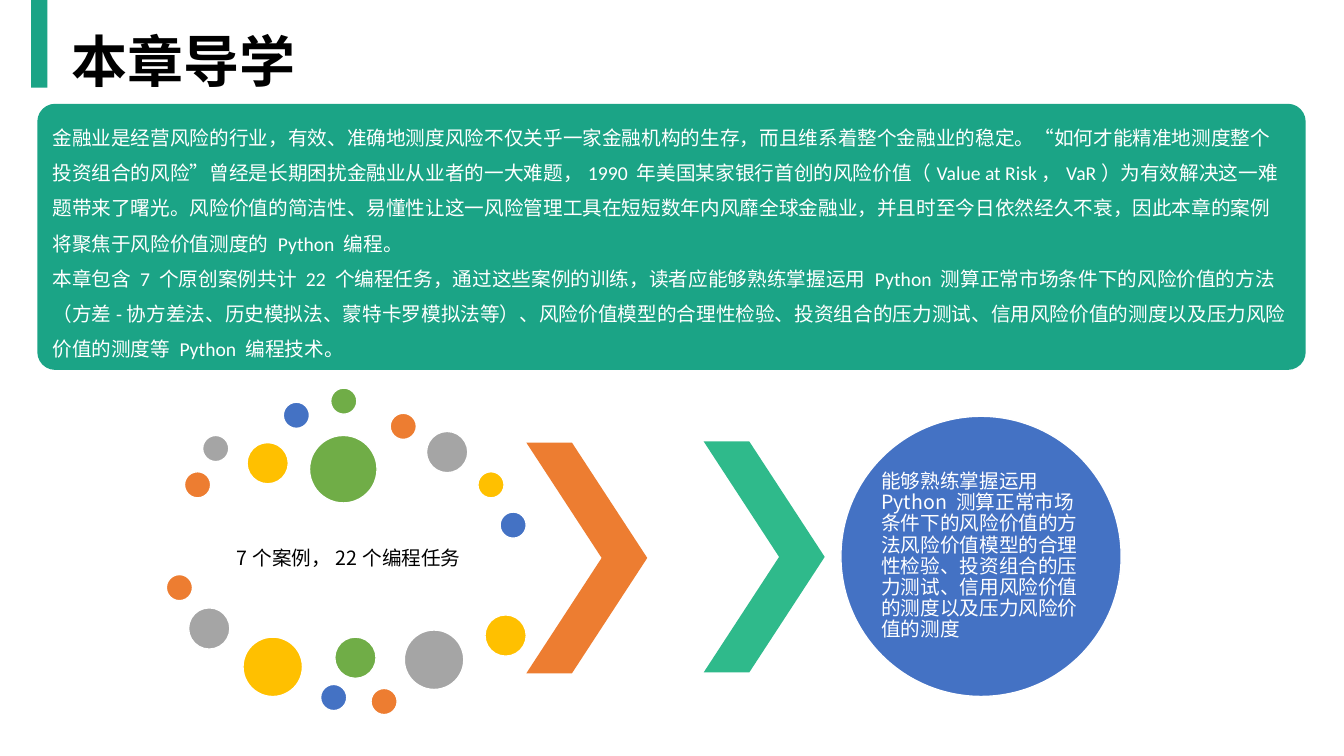
from lxml import etree
from pptx import Presentation
from pptx.dml.color import RGBColor
from pptx.enum.shapes import MSO_SHAPE
from pptx.enum.text import MSO_ANCHOR, PP_ALIGN
from pptx.oxml.ns import qn
from pptx.util import Inches, Pt

RECTANGLE = MSO_SHAPE.RECTANGLE
ROUNDED = MSO_SHAPE.ROUNDED_RECTANGLE
OVAL = MSO_SHAPE.OVAL
CHEVRON = MSO_SHAPE.CHEVRON
TOP, MIDDLE = MSO_ANCHOR.TOP, MSO_ANCHOR.MIDDLE
LEFT, CENTER = PP_ALIGN.LEFT, PP_ALIGN.CENTER
CJK = "Noto Sans CJK SC"
TEAL, MINT, WHITE, BLACK = "1BA486", "2FBA8B", "FFFFFF", "000000"
BLUE, ORANGE, GRAY, GOLD, GREEN = "4472C4", "ED7D31", "A5A5A5", "FFC000", "70AD47"
SMALL, MEDIUM, LARGE, HUGE = 0.26, 0.41, 0.59, 0.67

deck = Presentation()
deck.slide_width, deck.slide_height = Inches(13.33), Inches(7.5)
page = deck.slides.add_slide(deck.slide_layouts[5])


def add_figure(kind, left, top, width, height, fill, outline=None):
    figure = page.shapes.add_shape(kind, Inches(left), Inches(top), Inches(width), Inches(height))
    figure.shadow.inherit = False
    figure.fill.solid()
    figure.fill.fore_color.rgb = RGBColor.from_string(fill)
    if outline:
        figure.line.color.rgb = RGBColor.from_string(outline)
        figure.line.width = Pt(1)
    else:
        figure.line.fill.background()
    return figure


def write(box, text, size=14, font=CJK, color=BLACK, bold=False, align=LEFT,
          anchor=TOP, spacing=1.0, margins=(0.1, 0.05)):
    frame = box.text_frame
    frame.word_wrap = True
    frame.vertical_anchor = anchor
    frame.margin_left = frame.margin_right = Inches(margins[0])
    frame.margin_top = frame.margin_bottom = Inches(margins[1])
    frame.text = text
    for para in frame.paragraphs:
        para.alignment = align
        para.line_spacing = spacing
        for span in para.runs:
            span.font.size = Pt(size)
            span.font.name = font
            span.font.bold = bold
            span.font.color.rgb = RGBColor.from_string(color)
            east_asian = etree.Element(qn("a:ea"), typeface=CJK)
            span.font._element.find(qn("a:latin")).addnext(east_asian)


card = add_figure(ROUNDED, 0.37, 1.03, 12.58, 2.64, TEAL)
card.adjustments[0] = 0.067
write(card, "金融业是经营风险的行业，有效、准确地测度风险不仅关乎一家金融机构的生存，而且维系着整个金融业的稳定。"
      "“如何才能精准地测度整个投资组合的风险”曾经是长期困扰金融业从业者的一大难题，"
      "1990 年美国某家银行首创的风险价值（Value at Risk，VaR）为有效解决这一难题带来了曙光。"
      "风险价值的简洁性、易懂性让这一风险管理工具在短短数年内风靡全球金融业，并且时至今日依然经久不衰，"
      "因此本章的案例将聚焦于风险价值测度的 Python 编程。\n"
      "本章包含 7 个原创案例共计 22 个编程任务，通过这些案例的训练，"
      "读者应能够熟练掌握运用 Python 测算正常市场条件下的风险价值的方法"
      "（方差-协方差法、历史模拟法、蒙特卡罗模拟法等）、风险价值模型的合理性检验、投资组合的压力测试、"
      "信用风险价值的测度以及压力风险价值的测度等 Python 编程技术。",
      font="Calibri", color=WHITE, spacing=1.5)

add_figure(RECTANGLE, 0.31, 0, 0.16, 0.87, TEAL)

title = page.shapes.title
title.left, title.top, title.width, title.height = map(Inches, (0.61, 0.21, 7.27, 0.77))
write(title, "本章导学", size=40, bold=True)

cases = page.shapes.add_textbox(*map(Inches, (1.83, 5.01, 3.26, 1.08)))
write(cases, "7个案例，22个编程任务", align=CENTER, anchor=MIDDLE, spacing=0.9, margins=(0.02, 0.02))

bubbles = [
    (1.83, 4.68, SMALL, ORANGE),
    (2.01, 4.32, SMALL, GRAY),
    (2.45, 4.39, MEDIUM, GOLD),
    (2.81, 3.99, SMALL, BLUE),
    (3.28, 3.85, SMALL, GREEN),
    (3.87, 4.10, SMALL, ORANGE),
    (4.23, 4.28, MEDIUM, GRAY),
    (4.74, 4.68, SMALL, GOLD),
    (4.96, 5.08, SMALL, BLUE),
    (3.07, 4.32, HUGE, GREEN),
    (1.65, 5.70, SMALL, ORANGE),
    (1.87, 6.03, MEDIUM, GRAY),
    (2.41, 6.32, LARGE, GOLD),
    (3.18, 6.79, SMALL, BLUE),
    (3.32, 6.32, MEDIUM, GREEN),
    (3.68, 6.83, SMALL, ORANGE),
    (4.01, 6.25, LARGE, GRAY),
    (4.81, 6.10, MEDIUM, GOLD),
]
for left, top, diameter, color in bubbles:
    add_figure(OVAL, left, top, diameter, diameter, color, outline=WHITE)

for left, top, color in [(5.22, 4.39, ORANGE), (6.98, 4.38, MINT)]:
    arrow = add_figure(CHEVRON, left, top, 1.2, 2.29, color)
    arrow.adjustments[0] = 0.623

add_figure(OVAL, 8.34, 4.13, 2.78, 2.78, BLUE, outline=WHITE)
goal = page.shapes.add_textbox(*map(Inches, (8.74, 4.54, 1.96, 1.96)))
write(goal, "能够熟练掌握运用 Python 测算正常市场条件下的风险价值的方法风险价值模型的合理性检验、"
      "投资组合的压力测试、信用风险价值的测度以及压力风险价值的测度",
      color=WHITE, anchor=MIDDLE, spacing=0.9, margins=(0, 0))

deck.save("out.pptx")
